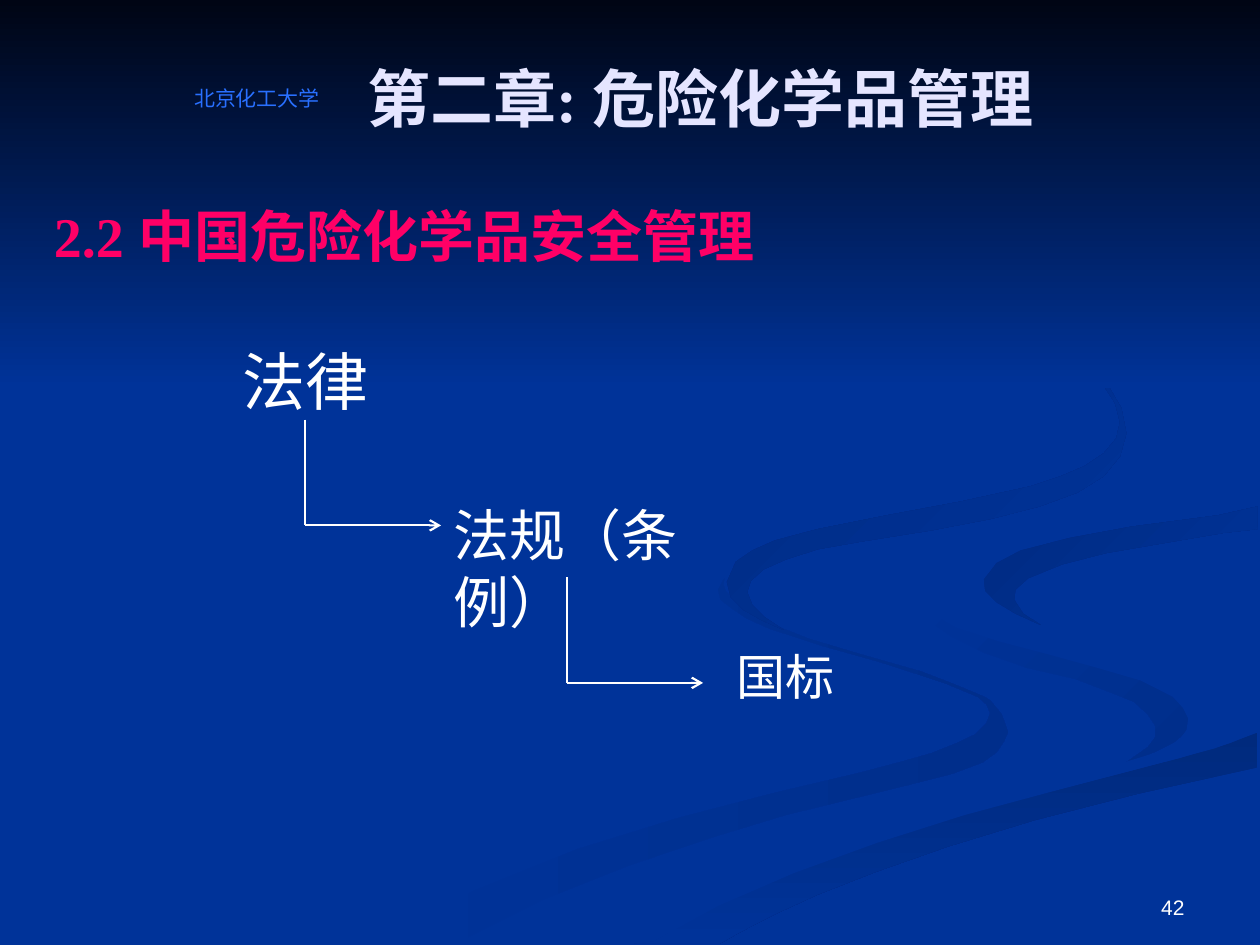
from pptx import Presentation
from pptx.dml.color import RGBColor
from pptx.enum.shapes import MSO_CONNECTOR
from pptx.enum.text import MSO_ANCHOR, PP_ALIGN
from pptx.oxml.ns import qn
from pptx.util import Inches, Pt
from lxml import etree

LEFT, CENTER, RIGHT = PP_ALIGN.LEFT, PP_ALIGN.CENTER, PP_ALIGN.RIGHT
TOP, MIDDLE, BOTTOM = MSO_ANCHOR.TOP, MSO_ANCHOR.MIDDLE, MSO_ANCHOR.BOTTOM
STRAIGHT = MSO_CONNECTOR.STRAIGHT

BLUE = RGBColor(0x00, 0x33, 0x99)
NIGHT = RGBColor(0x00, 0x05, 0x14)
SHADE = RGBColor(0x00, 0x2E, 0x8B)
SHADE_MID = RGBColor(0x00, 0x2B, 0x82)
SHADE_DARK = RGBColor(0x00, 0x2A, 0x7D)
WHITE = RGBColor(0xFF, 0xFF, 0xFF)
LAVENDER = RGBColor(0xE5, 0xE5, 0xFF)
PINK = RGBColor(0xFF, 0x00, 0x66)
SKY = RGBColor(0x29, 0x70, 0xFF)

SERIF, SANS, CJK = "Times New Roman", "Arial", "Noto Sans CJK SC"

# Outlines in hundredths of an inch
LONG_RIBBON = [
    (781, 553), (757, 543), (731, 533), (682, 519), (642, 507), (614, 496),
    (594, 485), (583, 477), (576, 469), (574, 464), (575, 459), (570, 468),
    (572, 476), (581, 483), (593, 491), (611, 499), (654, 513), (697, 525),
    (728, 535), (752, 543), (776, 553), (783, 559), (786, 566), (783, 574),
    (774, 583), (759, 590), (739, 598), (714, 605), (684, 613), (616, 629),
    (539, 649), (458, 674), (376, 707), (338, 727), (300, 749), (361, 749),
    (431, 714), (499, 687), (564, 665), (623, 647), (676, 634), (721, 623),
    (756, 614), (780, 605), (791, 597), (797, 588), (800, 581), (795, 567),
    (786, 556)]
RIGHT_RIBBON = [
    (943, 570), (939, 562), (930, 553), (905, 540), (870, 530), (830, 519),
    (792, 509), (758, 498), (733, 483), (727, 474), (724, 464), (725, 474),
    (730, 483), (739, 494), (755, 505), (781, 518), (815, 530), (854, 539),
    (880, 549), (900, 557), (911, 567), (917, 576), (917, 585), (911, 593),
    (894, 605), (916, 597), (932, 589), (941, 581)]
LOWER_RIBBON = [
    (519, 747), (503, 749), (571, 749), (587, 740), (614, 726), (649, 710),
    (695, 692), (752, 672), (821, 651), (903, 630), (998, 609), (998, 581),
    (976, 590), (936, 602), (867, 620), (797, 638), (764, 647), (696, 669),
    (630, 693), (569, 719), (543, 733)]
PLAIN_RIBBON = [
    (725, 464), (728, 474), (734, 483), (759, 498), (793, 509), (831, 519),
    (871, 530), (905, 540), (931, 553), (939, 562), (943, 570), (942, 579),
    (936, 587), (919, 597), (892, 605), (843, 618), (780, 634), (704, 655),
    (619, 684), (526, 724), (477, 749), (503, 749), (519, 747), (570, 719),
    (630, 693), (696, 669), (765, 647), (832, 629), (904, 610), (964, 594),
    (999, 581), (999, 538), (959, 531), (904, 519), (848, 503), (804, 485),
    (786, 473), (781, 463), (786, 453), (800, 442), (822, 434), (865, 424),
    (933, 415), (984, 406), (999, 402), (999, 387), (942, 399), (874, 408),
    (808, 417), (770, 427), (742, 439), (730, 449)]
EDGE_RIBBON = [
    (781, 460), (782, 469), (791, 478), (806, 487), (826, 496), (812, 487),
    (805, 476), (806, 468), (816, 459), (843, 448), (878, 439), (936, 429),
    (971, 423), (998, 420), (998, 402), (967, 409), (898, 418), (849, 427),
    (810, 437), (791, 447)]
UPPER_RIBBON = [
    (683, 430), (739, 421), (786, 412), (825, 402), (855, 391), (876, 378),
    (889, 362), (894, 344), (890, 324), (880, 307), (864, 291), (843, 275),
    (810, 256), (780, 241), (762, 233), (805, 254), (846, 279), (862, 292),
    (876, 306), (885, 320), (889, 335), (886, 348), (876, 360), (861, 370),
    (842, 378), (818, 386), (763, 398), (704, 409), (649, 420), (615, 429),
    (597, 437), (584, 446), (577, 462), (580, 474), (590, 484), (604, 492),
    (622, 500), (607, 490), (597, 480), (593, 470), (596, 461), (606, 452),
    (624, 444), (649, 436)]
TOP_BAND = [(0, 0), (0, 308), (1000, 308), (1000, 0)]

# Outline, first colour, last colour, clockwise angle
BACKDROP = [
    (LONG_RIBBON, BLUE, SHADE, 0),
    (RIGHT_RIBBON, BLUE, SHADE, 45),
    (LOWER_RIBBON, SHADE_DARK, BLUE, 90),
    (PLAIN_RIBBON, BLUE, BLUE, 0),
    (EDGE_RIBBON, SHADE_MID, BLUE, 45),
    (UPPER_RIBBON, SHADE_MID, BLUE, 45),
    (TOP_BAND, NIGHT, BLUE, 90),
]


def add_backdrop(s):
    s.background.fill.solid()
    s.background.fill.fore_color.rgb = BLUE
    for outline, first, last, angle in BACKDROP:
        builder = s.shapes.build_freeform(*outline[0], scale=Inches(0.01))
        builder.add_line_segments(outline[1:], close=True)
        sp = builder.convert_to_shape()
        sp.shadow.inherit = False
        sp.line.fill.background()
        if first == last:
            sp.fill.solid()
            sp.fill.fore_color.rgb = first
            continue
        sp.fill.gradient()
        sp.fill.gradient_angle = (360 - angle) % 360
        for stop, color in zip(sp.fill.gradient_stops, (first, last)):
            stop.color.rgb = color


def write(tf, runs, size, color, bold=False, align=LEFT, anchor=TOP):
    """Fill a text frame with one paragraph of (text, font) runs."""
    tf.word_wrap = True
    tf.vertical_anchor = anchor
    p = tf.paragraphs[0]
    p.alignment = align
    for text, font in runs:
        r = p.add_run()
        r.text = text
        r.font.name = font
        r.font.size = Pt(size)
        r.font.bold = bold
        r.font.color.rgb = color
    return p


def add_text(s, box, runs, size, color, **style):
    sp = s.shapes.add_textbox(*map(Inches, box))
    return write(sp.text_frame, runs, size, color, **style)


def add_title(s, box):
    title = s.shapes.title
    title.element.getparent().append(title.element)  # in front of the backdrop
    title.left, title.top, title.width, title.height = map(Inches, box)
    tf = title.text_frame
    tf.margin_left, tf.margin_right = Inches(1.12), 0
    write(tf, [("第二章: 危险化学品管理", SERIF)], 36, LAVENDER,
          bold=True, align=CENTER, anchor=MIDDLE)


def add_line(s, start, end, arrow=False):
    line = s.shapes.add_connector(STRAIGHT, *map(Inches, start + end))
    line.line.color.rgb = WHITE
    line.line.width = Pt(1.25)
    sp_pr = line.element.spPr
    if arrow:
        etree.SubElement(sp_pr.find(qn("a:ln")), qn("a:tailEnd"), type="arrow")
    etree.SubElement(sp_pr, qn("a:effectLst"))


def add_elbow(s, left, top, width=1.08, height=0.84):
    corner = (left, top + height)
    add_line(s, (left, top), corner)
    add_line(s, corner, (left + width, top + height), arrow=True)


def add_hierarchy(s):
    levels = [("法律", 36, (1.83, 2.67, 1.33, 0.7)),
              ("法规（条例）", 32, (3.5, 3.92, 2.67, 1.17)),
              ("国标", 28, (5.75, 5.08, 1.5, 0.57))]
    for text, size, box in levels:
        add_text(s, box, [(text, SERIF)], size, WHITE)
    add_elbow(s, 2.42, 3.33)
    add_elbow(s, 4.5, 4.58)


def main():
    prs = Presentation()
    prs.slide_width, prs.slide_height = Inches(10), Inches(7.5)
    s = prs.slides.add_slide(prs.slide_layouts[5])
    add_backdrop(s)
    add_text(s, (7.17, 6.83, 2.33, 0.52), [("42", SANS)], 12, WHITE,
             align=RIGHT, anchor=BOTTOM)
    heading = add_text(s, (0.33, 1.5, 9.42, 0.69),
                       [("2.2 ", SERIF), ("中国危险化学品安全管理", CJK)],
                       32, PINK, bold=True)
    heading.line_spacing = 1.1
    add_text(s, (1.33, 0.58, 1.42, 0.35), [("北京化工大学", SANS)], 12, SKY,
             align=CENTER, anchor=BOTTOM)
    add_title(s, (0.5, 0.3, 9, 0.94))
    add_hierarchy(s)
    prs.save("out.pptx")


if __name__ == "__main__":
    main()
